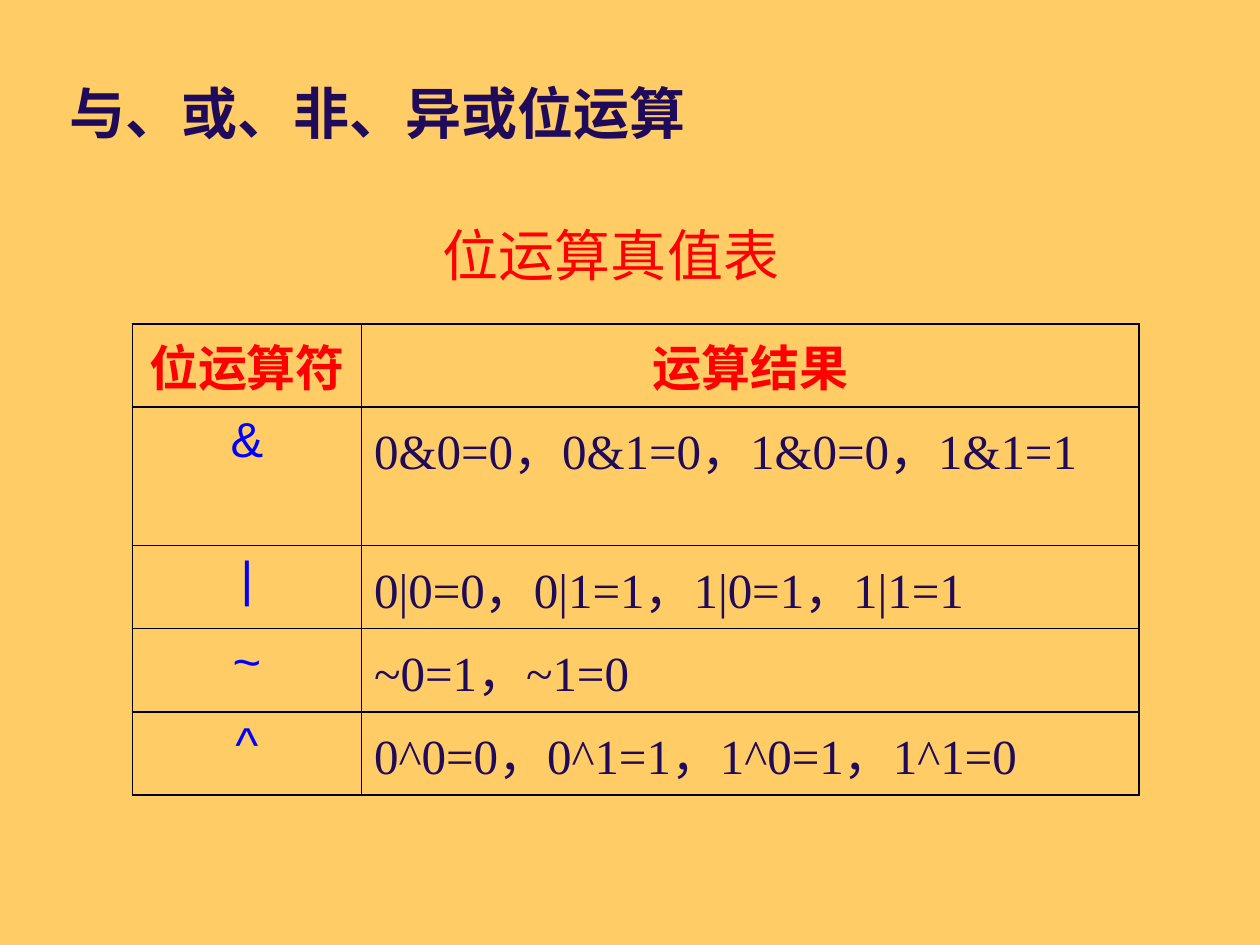
from pptx import Presentation
from pptx.dml.color import RGBColor
from pptx.enum import text as t
from pptx.oxml import parse_xml
from pptx.oxml.ns import nsdecls
from pptx.util import Inches, Pt

SAND = RGBColor(0xFF, 0xCC, 0x66)
NAVY = RGBColor(0x20, 0x0B, 0x5B)
RED = RGBColor(0xFF, 0x00, 0x00)
BLUE = RGBColor(0x00, 0x00, 0xFF)
BLACK = "000000"
HAN, SERIF, SANS = "Noto Sans CJK SC", "Times New Roman", "Arial"
LEFT, CENTER = t.PP_ALIGN.LEFT, t.PP_ALIGN.CENTER

HEADS = ("位运算符", "运算结果")
RULES = (
    ("&", "0&0=0，0&1=0，1&0=0，1&1=1"),
    ("|", "0|0=0，0|1=1，1|0=1，1|1=1"),
    ("~", "~0=1，~1=0"),
    ("^", "0^0=0，0^1=1，1^0=1，1^1=0"),
)
SINGLE, DOUBLE = 0.66, 1.1  # row heights for one and two lines


def write(frame, words, size, face, color, bold=False, align=LEFT):
    para = frame.paragraphs[0]
    para.alignment = align
    run = para.add_run()
    run.text = words
    font = run.font
    font.size, font.name, font.bold = Pt(size), face, bold
    font.color.rgb = color
    # Chinese glyphs take their own typeface
    font._element.find("{*}latin").addnext(
        parse_xml(f'<a:ea {nsdecls("a")} typeface="{HAN}"/>'))


def add_line(slide, box, anchor, *style):
    frame = slide.shapes.add_textbox(*map(Inches, box)).text_frame
    frame.word_wrap = True
    frame.vertical_anchor = anchor
    write(frame, *style)


def fill_cell(cell, *style):
    write(cell.text_frame, *style)
    cell.fill.background()
    props = cell._tc.get_or_add_tcPr()
    # Borders come before the fill
    for spot, side in enumerate(("lnL", "lnR", "lnT", "lnB")):
        props.insert(spot, parse_xml(
            f'<a:{side} {nsdecls("a")} w="{Pt(1)}"><a:solidFill>'
            f'<a:srgbClr val="{BLACK}"/></a:solidFill></a:{side}>'))


def add_truth(slide, box):
    grid = slide.shapes.add_table(
        len(RULES) + 1, len(HEADS), *map(Inches, box)).table
    grid.first_row = grid.horz_banding = False
    first = 1.82
    grid.columns[0].width = Inches(first)
    grid.columns[1].width = Inches(box[2] - first)
    # Only the first rule wraps
    for row, line in enumerate(grid.rows):
        line.height = Inches(DOUBLE if row == 1 else SINGLE)
    # Header row
    for col, head in enumerate(HEADS):
        fill_cell(grid.cell(0, col), head, 28, SERIF, RED, True, CENTER)
    # Operator rows
    for row, (sign, result) in enumerate(RULES, 1):
        fill_cell(grid.cell(row, 0), sign, 28, SANS, BLUE, False, CENTER)
        fill_cell(grid.cell(row, 1), result, 28, SERIF, NAVY)


def main():
    deck = Presentation()
    deck.slide_width, deck.slide_height = Inches(10), Inches(7.5)
    slide = deck.slides.add_slide(deck.slide_layouts[6])
    slide.background.fill.solid()
    slide.background.fill.fore_color.rgb = SAND
    # Title and caption
    add_line(slide, (0.45, 0.53, 9, 0.72), t.MSO_ANCHOR.MIDDLE,
             "与、或、非、异或位运算", 32, HAN, NAVY, True)
    add_line(slide, (2.64, 1.7, 4.42, 0.47), t.MSO_ANCHOR.TOP,
             "位运算真值表", 32, SERIF, RED, False, CENTER)
    # Truth table
    add_truth(slide, (1.05, 2.57, 7.99, 4 * SINGLE + DOUBLE))
    deck.save("out.pptx")


if __name__ == "__main__":
    main()
